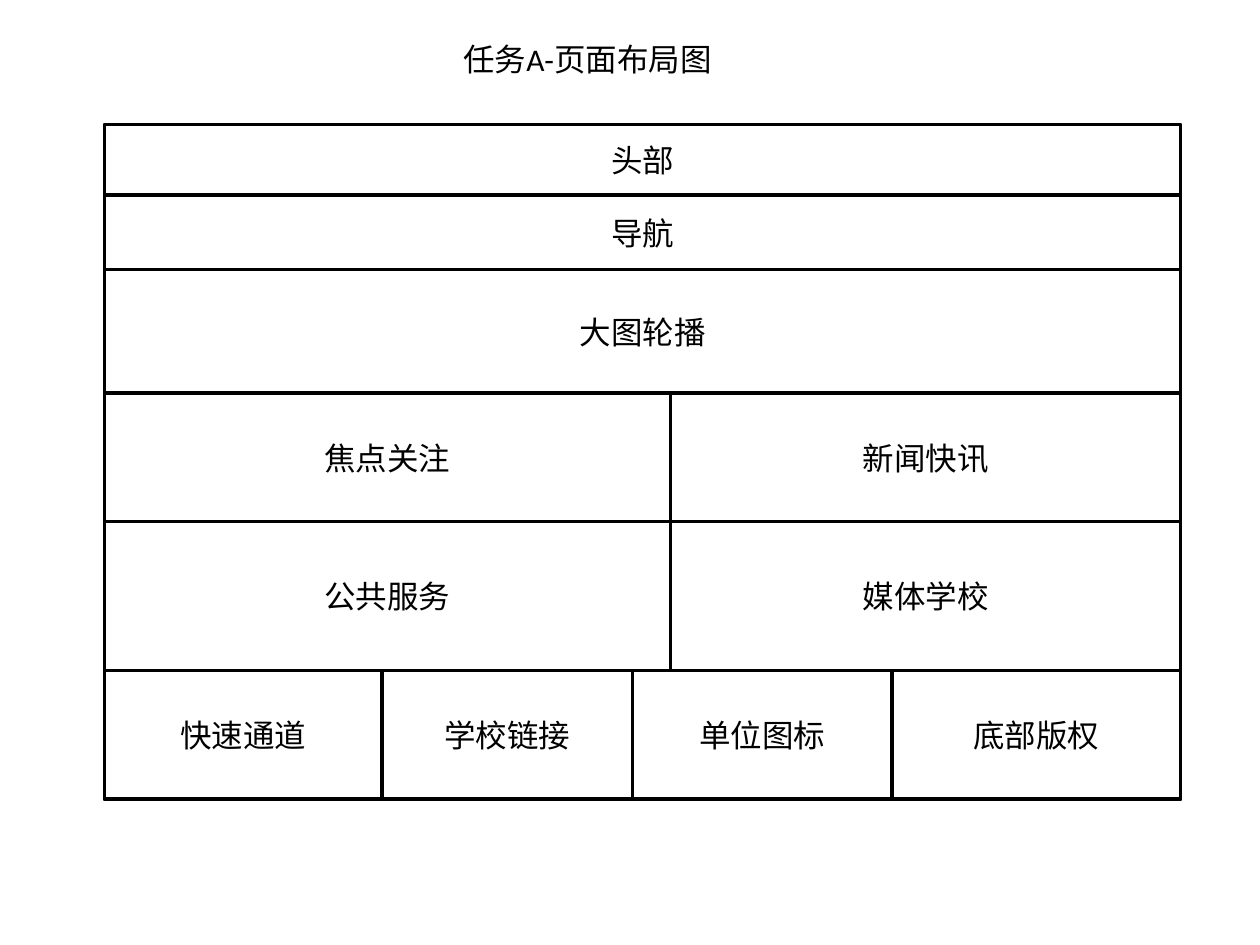
from dataclasses import dataclass

from pptx import Presentation
from pptx import util as u
from pptx.dml.color import RGBColor
from pptx.enum import shapes, text

COLORS = {"ink": "000000", "paper": "FFFFFF"}
FONT = "Calibri"
LEFT, TOP, WIDTH = 0.83, 0.99, 8.54


@dataclass(frozen=True)
class Cell:
    label: str
    width: float = WIDTH


@dataclass(frozen=True)
class Row:
    height: float
    cells: tuple[Cell, ...]


ROWS = (
    Row(0.56, (Cell("头部"),)),
    Row(0.59, (Cell("导航"),)),
    Row(0.98, (Cell("大图轮播"),)),
    Row(1.02, (Cell("焦点关注", 4.49), Cell("新闻快讯", 4.05))),
    Row(1.18, (Cell("公共服务", 4.49), Cell("媒体学校", 4.05))),
    Row(1.02, (Cell("快速通道", 2.2), Cell("学校链接", 1.99),
               Cell("单位图标", 2.06), Cell("底部版权", 2.29))),
)


def write_text(box, content: str, *, size: float = 18, color: str = "ink",
               align=text.PP_ALIGN.CENTER, anchor=text.MSO_ANCHOR.MIDDLE) -> None:
    frame = box.text_frame
    frame.word_wrap = True
    frame.vertical_anchor = anchor
    para = frame.paragraphs[0]
    para.alignment = align
    span = para.add_run()
    span.text = content
    span.font.name = FONT
    span.font.size = u.Pt(size)
    span.font.color.rgb = RGBColor.from_string(COLORS[color])


def draw_box(page, left: float, top: float, width: float, height: float):
    box = page.shapes.add_shape(
        shapes.MSO_SHAPE.RECTANGLE,
        u.Inches(left), u.Inches(top), u.Inches(width), u.Inches(height))
    box.shadow.inherit = False
    box.fill.solid()
    box.fill.fore_color.rgb = RGBColor.from_string(COLORS["paper"])
    box.line.color.rgb = RGBColor.from_string(COLORS["ink"])
    box.line.width = u.Pt(2)
    return box


def draw_row(page, row: Row, top: float) -> None:
    left = LEFT
    for cell in row.cells:
        box = draw_box(page, left, top, cell.width, row.height)
        write_text(box, cell.label)
        left += cell.width


def draw_title(page) -> None:
    box = page.shapes.add_textbox(
        u.Inches(3.58), u.Inches(0.27), u.Inches(3.15), u.Inches(0.4))
    write_text(box, "任务A-页面布局图",
               align=text.PP_ALIGN.LEFT, anchor=text.MSO_ANCHOR.TOP)
    box.text_frame.auto_size = text.MSO_AUTO_SIZE.SHAPE_TO_FIT_TEXT


def main() -> None:
    deck = Presentation()
    deck.slide_width, deck.slide_height = u.Inches(10), u.Inches(7.5)
    page = deck.slides.add_slide(deck.slide_layouts[6])
    draw_title(page)
    draw_box(page, LEFT, TOP, WIDTH, sum(row.height for row in ROWS))
    top = TOP
    for row in ROWS:
        draw_row(page, row, top)
        top += row.height
    deck.save("out.pptx")


if __name__ == "__main__":
    main()
